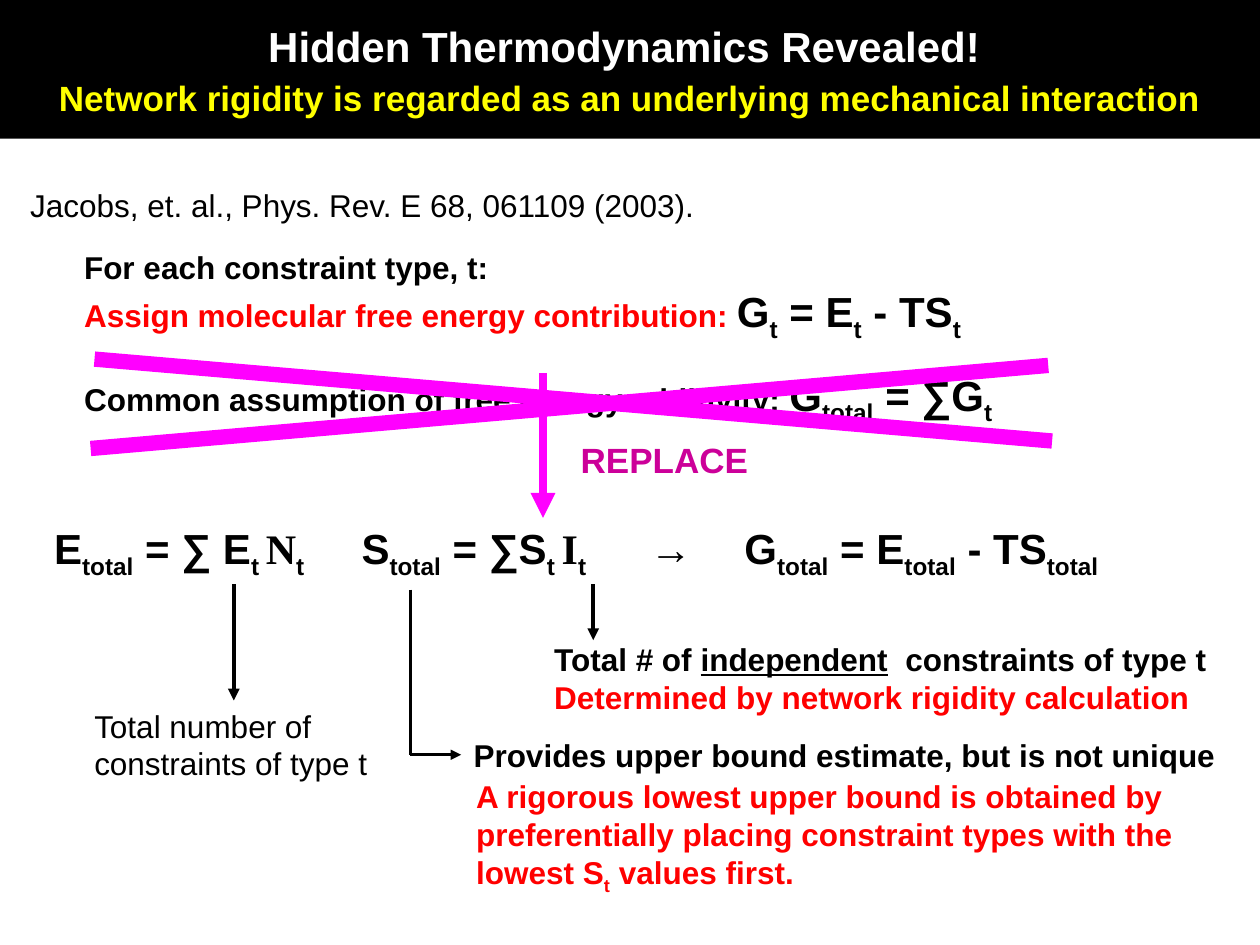
from typing import NamedTuple, Optional

from lxml import etree
from pptx import Presentation
from pptx.dml.color import RGBColor
from pptx.enum.shapes import MSO_CONNECTOR, MSO_SHAPE
from pptx.enum.text import MSO_ANCHOR, MSO_AUTO_SIZE, PP_ALIGN
from pptx.oxml.ns import qn
from pptx.util import Pt

STRAIGHT = MSO_CONNECTOR.STRAIGHT
RECTANGLE = MSO_SHAPE.RECTANGLE
GROW = MSO_AUTO_SIZE.SHAPE_TO_FIT_TEXT
MIDDLE = MSO_ANCHOR.MIDDLE
CENTER = PP_ALIGN.CENTER
TOP, LEFT = 0, 1

COLORS = {
    "black": "000000",
    "white": "FFFFFF",
    "yellow": "FFFF00",
    "red": "FF0000",
    "magenta": "FF00FF",
    "plum": "CC0099",
}


class Span(NamedTuple):
    """Text in one style; parts between bars are subscripts, as in E|t|."""
    text: str
    color: str = "black"
    size: float = 18
    bold: bool = True
    font: str = "Arial"
    underline: bool = False


class Line(NamedTuple):
    spans: list[Span]
    spacing: Optional[float] = None
    before: float = 0
    after: float = 0
    centered: bool = False
    tabs: tuple[float, ...] = ()


class Box(NamedTuple):
    left: float
    top: float
    width: float
    height: float
    lines: list[Line]
    wrap: bool = False


class Stroke(NamedTuple):
    start: tuple[float, float]
    end: tuple[float, float]
    weight: float
    color: str = "black"
    arrow: bool = False


def rgb(name: str) -> RGBColor:
    return RGBColor.from_string(COLORS[name])


def add_span(paragraph, span: Span) -> None:
    for index, piece in enumerate(span.text.split("|")):
        if not piece:
            continue
        run = paragraph.add_run()
        run.text = piece
        run.font.name = span.font
        run.font.size = Pt(span.size)
        run.font.bold = span.bold
        run.font.color.rgb = rgb(span.color)
        if span.underline:
            run.font.underline = True
        if index % 2:
            run.font._element.set("baseline", "-25000")


def write_lines(frame, lines: list[Line]) -> None:
    for index, line in enumerate(lines):
        paragraph = frame.add_paragraph() if index else frame.paragraphs[0]
        paragraph.space_before = Pt(line.before)
        paragraph.space_after = Pt(line.after)
        if line.spacing:
            paragraph.line_spacing = line.spacing
        if line.centered:
            paragraph.alignment = CENTER
        if line.tabs:
            stops = etree.SubElement(paragraph._p.get_or_add_pPr(), qn("a:tabLst"))
            for position in line.tabs:
                etree.SubElement(stops, qn("a:tab"), pos=str(Pt(position)), algn="l")
        for span in line.spans:
            add_span(paragraph, span)


def add_box(slide, box: Box):
    shape = slide.shapes.add_textbox(Pt(box.left), Pt(box.top), Pt(box.width), Pt(box.height))
    frame = shape.text_frame
    frame.word_wrap = box.wrap
    frame.auto_size = GROW
    write_lines(frame, box.lines)
    return shape


def add_stroke(slide, stroke: Stroke):
    connector = slide.shapes.add_connector(
        STRAIGHT, *(Pt(value) for value in stroke.start + stroke.end))
    connector.line.color.rgb = rgb(stroke.color)
    connector.line.width = Pt(stroke.weight)
    if stroke.arrow:
        etree.SubElement(connector.line._get_or_add_ln(), qn("a:tailEnd"), type="triangle")
    etree.SubElement(connector._element.spPr, qn("a:effectLst"))
    return connector


def add_header(slide, width: float, height: float, lines: list[Line]) -> None:
    band = slide.shapes.add_shape(RECTANGLE, 0, 0, Pt(width), Pt(height))
    band.shadow.inherit = False
    band.fill.solid()
    band.fill.fore_color.rgb = rgb("black")
    band.line.fill.background()
    band.text_frame.word_wrap = True
    band.text_frame.vertical_anchor = MIDDLE
    write_lines(band.text_frame, lines)


def formula(text: str, font: str = "Arial") -> Span:
    return Span(text, size=24, font=font)


CITATION = Box(10.1, 103, 396.7, 28.8, [
    Line([Span("Jacobs, et. al., Phys. Rev. E 68, 061109 (2003).", bold=False)])])
CONTRIBUTION = Box(41, 139.7, 522.7, 54.7, [
    Line([Span("For each constraint type, t:")], spacing=0.95),
    Line([Span("Assign molecular free energy contribution: ", "red"),
          formula("G|t| = E|t| - TS|t|")], spacing=0.9)])
ADDITIVITY = Box(41, 207.4, 538.6, 36, [
    Line([Span("Common assumption of free energy additivity: "),
          formula("G|total| = ∑G|t|")])])
TOTALS = Box(23.8, 295.2, 656.6, 36, [
    Line([formula("E|total| = ∑ E|t |"), formula("N", "Times New Roman"),
          formula("|t|\tS|total| = ∑S|t |"), formula("I", "Times New Roman"),
          formula("|t|\t→\tG|total| = E|total| - TS|total|")],
         tabs=(175.7, 340.5, 394.5))], wrap=True)
REPLACE = Box(324.7, 247, 110.2, 31, [Line([Span("REPLACE", "plum", 20)])])
UPPER_BOUND = Box(263.5, 416.9, 438.5, 28.8, [
    Line([Span("Provides upper bound estimate, but is not unique")])])
LOWEST_BOUND = Box(265, 440.6, 426.2, 76.3, [
    Line([Span("A rigorous lowest upper bound is obtained by preferentially placing "
               "constraint types with the lowest S|t| values first.", "red")])], wrap=True)
TOTAL_NUMBER = Box(46.8, 400.3, 173.6, 50.4, [
    Line([Span("Total number of constraints of type t", bold=False)])], wrap=True)
INDEPENDENT = Box(309.6, 362.2, 395.3, 50.4, [
    Line([Span("Total # of "), Span("independent", underline=True),
          Span("  constraints of type t")]),
    Line([Span("Determined by network rigidity calculation", "red")])], wrap=True)
HEADER = [
    Line([Span("Hidden Thermodynamics Revealed! ", "white", 24)], centered=True),
    Line([Span("Network rigidity is regarded as an underlying mechanical interaction",
               "yellow", 20)], before=3, after=6, centered=True)]

REPLACEMENT_STROKES = [
    Stroke((54, 205.2), (601.2, 252), 8.75, "magenta"),
    Stroke((599, 208.8), (51.8, 256.3), 8.75, "magenta"),
    Stroke((310.3, 213.1), (310.3, 295.9), 4.75, "magenta", arrow=True)]


def main() -> None:
    deck = Presentation()
    deck.slide_width, deck.slide_height = Pt(720), Pt(540)
    slide = deck.slides.add_slide(deck.slide_layouts[6])

    for box in (CITATION, CONTRIBUTION, ADDITIVITY, TOTALS):
        add_box(slide, box)
    for stroke in REPLACEMENT_STROKES:
        add_stroke(slide, stroke)
    add_box(slide, REPLACE)

    bound_y = UPPER_BOUND.top + UPPER_BOUND.height / 2
    add_stroke(slide, Stroke((234.7, 337), (234.7, bound_y), 2))
    bound_arrow = add_stroke(
        slide, Stroke((234, bound_y), (UPPER_BOUND.left, bound_y), 1.5, arrow=True))
    bound_arrow.end_connect(add_box(slide, UPPER_BOUND), LEFT)
    add_box(slide, LOWEST_BOUND)

    add_header(slide, 720, 79.2, HEADER)

    number_x = TOTAL_NUMBER.left + TOTAL_NUMBER.width / 2
    number_box = add_box(slide, TOTAL_NUMBER)
    number_arrow = add_stroke(
        slide, Stroke((number_x, 334), (number_x, TOTAL_NUMBER.top), 2.25, arrow=True))
    number_arrow.end_connect(number_box, TOP)

    add_box(slide, INDEPENDENT)
    add_stroke(slide, Stroke((339, 334), (339, 365.8), 2.25, arrow=True))

    deck.save("out.pptx")


if __name__ == "__main__":
    main()
